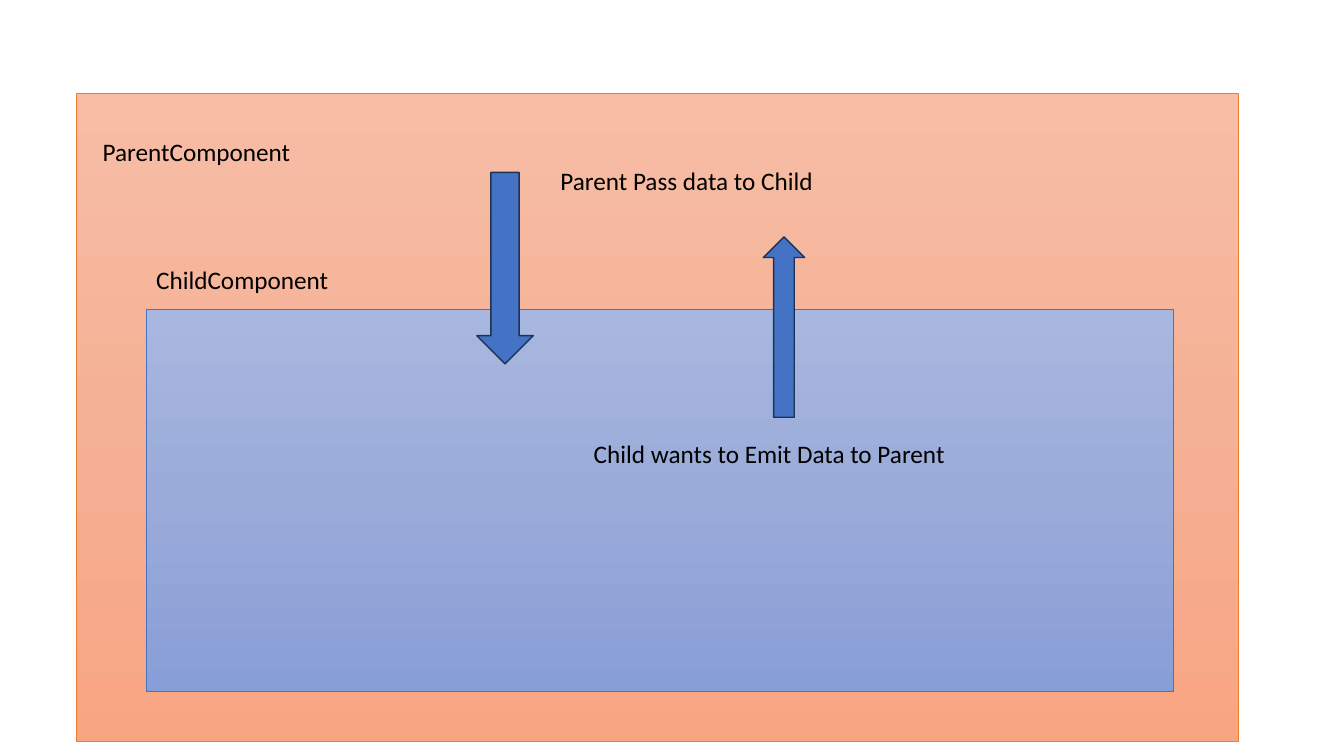
from copy import deepcopy
from dataclasses import dataclass

from pptx import Presentation
from pptx import util as u
from pptx.dml.color import RGBColor
from pptx.enum import shapes, text
from pptx.oxml.ns import qn


@dataclass(frozen=True)
class Theme:
    font: str = "Calibri"
    label_size: float = 18
    ink: str = "000000"
    parent_fill: tuple = ("F7BDA5", "F5B196", "F8A582")
    parent_line: str = "ED7D31"
    child_fill: tuple = ("A8B7DF", "9AABD9", "889ED7")
    child_line: str = "4472C4"
    arrow_fill: str = "4472C4"
    arrow_line: str = "1E3256"
    panel_width: float = 0.5
    arrow_width: float = 1


def assign(target, values):
    for name, value in values.items():
        setattr(target, name, value)


class Board:
    """Places elements by percent of the slide's width and height."""

    def __init__(self, deck, theme):
        self.theme = theme
        self.page = deck.slides.add_slide(deck.slide_layouts[6])
        self.width, self.height = deck.slide_width, deck.slide_height

    def frame(self, left, top, width, height):
        return (round(left * self.width / 100), round(top * self.height / 100),
                round(width * self.width / 100), round(height * self.height / 100))

    def shape(self, kind, place, line, weight):
        shape = self.page.shapes.add_shape(kind, *self.frame(*place))
        shape.shadow.inherit = False
        shape.line.color.rgb = RGBColor.from_string(line)
        shape.line.width = u.Pt(weight)
        return shape

    def panel(self, place, colours, line):
        shape = self.shape(shapes.MSO_SHAPE.RECTANGLE, place, line,
                           self.theme.panel_width)
        shape.fill.gradient()
        shape.fill.gradient_angle = 270
        # The default gradient has two stops; add one for the middle colour
        stop_list = shape._element.spPr.find(qn("a:gradFill")).find(qn("a:gsLst"))
        stop_list.insert(1, deepcopy(stop_list[0]))
        for index, (stop, colour) in enumerate(zip(shape.fill.gradient_stops, colours)):
            stop.position = index / (len(colours) - 1)
            stop.color.rgb = RGBColor.from_string(colour)

    def arrow(self, kind, place):
        shape = self.shape(kind, place, self.theme.arrow_line, self.theme.arrow_width)
        shape.fill.solid()
        shape.fill.fore_color.rgb = RGBColor.from_string(self.theme.arrow_fill)

    def label(self, words, place):
        box = self.page.shapes.add_textbox(*self.frame(*place))
        assign(box.text_frame, {"word_wrap": True,
                                "auto_size": text.MSO_AUTO_SIZE.SHAPE_TO_FIT_TEXT})
        para = box.text_frame.paragraphs[0]
        span = para.add_run()
        span.text = words
        assign(span.font, {"name": self.theme.font,
                           "size": u.Pt(self.theme.label_size)})
        span.font.color.rgb = RGBColor.from_string(self.theme.ink)


deck = Presentation()
assign(deck, {"slide_width": u.Inches(13.33), "slide_height": u.Inches(7.5)})
theme = Theme()
board = Board(deck, theme)

# Nested components
CHILD_LEFT = 10.88
board.panel((5.7, 12.4, 86.42, 85.73), theme.parent_fill, theme.parent_line)
board.panel((CHILD_LEFT, 40.93, 76.44, 50.53), theme.child_fill, theme.child_line)

# Data flow between them
board.arrow(shapes.MSO_SHAPE.DOWN_ARROW, (35.48, 22.8, 4.2, 25.33))
board.arrow(shapes.MSO_SHAPE.UP_ARROW, (56.79, 31.33, 3.08, 23.87))

# Component names and flow captions
NAME_SIZE, CAPTION_SIZE = (23.63, 5.4), (29.86, 5.4)
for words, corner, size in (
    ("ParentComponent", (6.9, 17.33), NAME_SIZE),
    ("ChildComponent", (CHILD_LEFT, 34.27), NAME_SIZE),
    ("Parent Pass data to Child", (40.96, 21.2), CAPTION_SIZE),
    ("Child wants to Emit Data to Parent", (43.44, 57.33), CAPTION_SIZE),
):
    board.label(words, corner + size)

deck.save("out.pptx")
